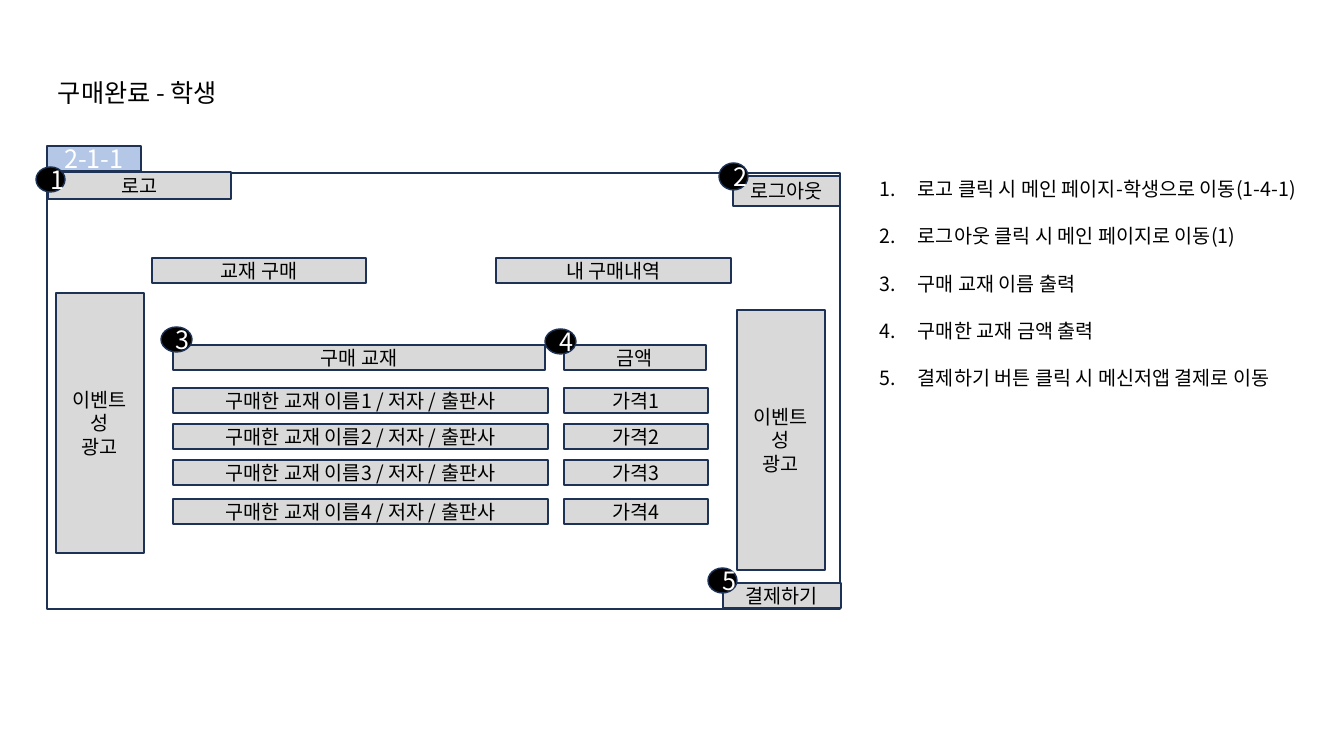
from lxml.etree import SubElement
from pptx import Presentation
from pptx.dml.color import RGBColor
from pptx.enum.shapes import MSO_SHAPE
from pptx.enum.text import MSO_ANCHOR, PP_ALIGN
from pptx.oxml.ns import qn
from pptx.util import Emu, Pt

FONT = "Noto Sans CJK KR"
COLORS = {"ink": "000000", "paper": "FFFFFF", "box": "D9D9D9",
          "tag": "B4C7E7", "line": "1E3256"}

# Content; boxes are left, top, width, height in pixels
TITLE = ("구매완료 - 학생", (48, 72, 211, 40))
FRAME = (47, 173, 793, 436)
PAGE_TAG = ("2-1-1", (47, 146, 94, 25))
BUTTONS = [
    ("로고", (48, 172, 183, 27)),
    ("로그아웃", (733, 176, 107, 30)),
    ("교재 구매", (152, 258, 214, 25)),
    ("내 구매내역", (496, 258, 235, 25)),
    ("결제하기", (723, 583, 118, 25)),
]
AD_TEXT = "이벤트성\n광고"
ADS = [(56, 293, 88, 260), (737, 310, 88, 260)]
BOOK_LEFT, PRICE_LEFT, ROW_HEIGHT = 173, 564, 25
HEADERS = [("구매 교재", (BOOK_LEFT, 345, 372, ROW_HEIGHT)),
           ("금액", (PRICE_LEFT, 345, 142, ROW_HEIGHT))]
ROW_TOPS = [388, 424, 460, 499]
BADGES = [(36, 167, 29, 25), (719, 163, 29, 27), (161, 327, 31, 25),
          (545, 329, 31, 25), (708, 568, 29, 25)]
NOTES_BOX = (870, 172, 474, 224)
NOTES = [
    "로고 클릭 시 메인 페이지-학생으로 이동(1-4-1)",
    "로그아웃 클릭 시 메인 페이지로 이동(1)",
    "구매 교재 이름 출력",
    "구매한 교재 금액 출력",
    "결제하기 버튼 클릭 시 메신저앱 결제로 이동",
]


def px(value):
    return Emu(round(value * 914400 / 100.8))


def rgb(name):
    return RGBColor.from_string(COLORS[name])


def write(frame, text, size, color, align):
    frame.text = text
    for paragraph in frame.paragraphs:
        paragraph.alignment = align
        for run in paragraph.runs:
            run.font.size = Pt(size)
            run.font.name = FONT
            run.font.color.rgb = rgb(color)
            SubElement(run.font._element, qn("a:ea")).set("typeface", FONT)


def draw(parent, box, fill="box", text="", size=14, color="ink", kind=MSO_SHAPE.RECTANGLE):
    part = parent.add_shape(kind, *map(px, box))
    part.shadow.inherit = False
    part.fill.solid()
    part.fill.fore_color.rgb = rgb(fill)
    part.line.color.rgb = rgb("line")
    part.line.width = Pt(1)
    part.text_frame.vertical_anchor = MSO_ANCHOR.MIDDLE
    write(part.text_frame, text, size, color, PP_ALIGN.CENTER)


def write_box(parent, box, text, size, wrap):
    frame = parent.add_textbox(*map(px, box)).text_frame
    frame.word_wrap = wrap
    write(frame, text, size, "ink", PP_ALIGN.LEFT)
    return frame


deck = Presentation()
deck.slide_width, deck.slide_height = px(1344), px(756)
slide = deck.slides.add_slide(deck.slide_layouts[6])
shapes = slide.shapes

# Title, page frame and page tag
write_box(shapes, TITLE[1], TITLE[0], 18, False)
draw(shapes, FRAME, "paper")
draw(shapes, PAGE_TAG[1], "tag", PAGE_TAG[0], 18, "paper")

# Buttons, table headers and side ads
for label, box in BUTTONS + HEADERS:
    draw(shapes, box, text=label)
for box in ADS:
    draw(shapes, box, text=AD_TEXT)

# Purchased books with their prices
for number, top in enumerate(ROW_TOPS, 1):
    row = shapes.add_group_shape().shapes
    draw(row, (BOOK_LEFT, top, 375, ROW_HEIGHT),
         text=f"구매한 교재 이름{number} / 저자 / 출판사")
    draw(row, (PRICE_LEFT, top, 144, ROW_HEIGHT), text=f"가격{number}")

# Numbered badges
for number, box in enumerate(BADGES, 1):
    draw(shapes, box, "ink", str(number), 18, "paper", MSO_SHAPE.OVAL)

# Numbered notes
notes = write_box(shapes, NOTES_BOX, "\n".join(NOTES), 14, True)
for paragraph in notes.paragraphs:
    paragraph.space_after = Pt(17)
    properties = paragraph._p.get_or_add_pPr()
    properties.set("marL", str(px(38)))
    properties.set("indent", str(-px(38)))
    SubElement(properties, qn("a:buFont")).set("typeface", FONT)
    SubElement(properties, qn("a:buAutoNum")).set("type", "arabicPeriod")

deck.save("out.pptx")
